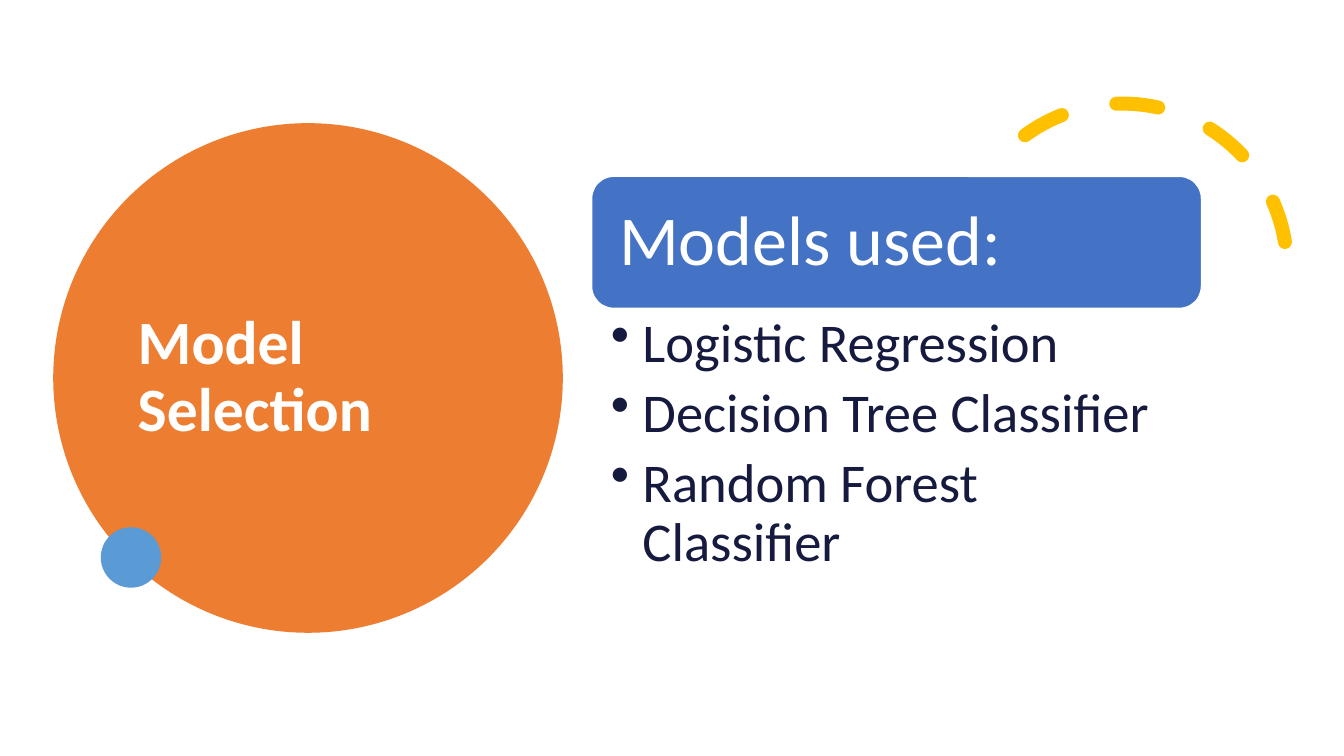
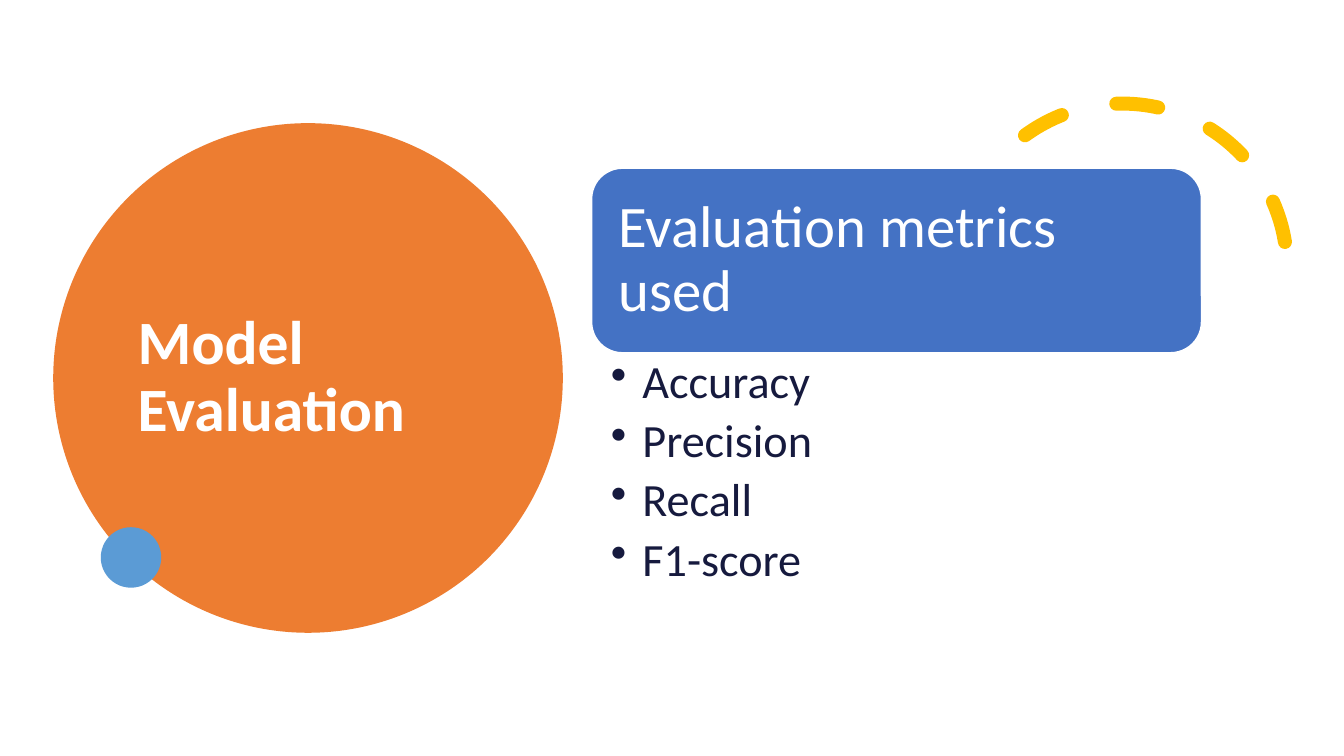
from pptx import Presentation
from pptx.dml.color import RGBColor
from pptx.enum.dml import MSO_LINE
from pptx.enum.shapes import MSO_SHAPE as Shape
from pptx.enum.text import MSO_ANCHOR as Anchor, PP_ALIGN as Align
from pptx.oxml import parse_xml
from pptx.oxml.ns import nsdecls
from pptx.util import Pt

WHITE = RGBColor(0xFF, 0xFF, 0xFF)
ORANGE = RGBColor(0xED, 0x7D, 0x31)
YELLOW = RGBColor(0xFF, 0xC0, 0x00)
SKY = RGBColor(0x5B, 0x9B, 0xD5)
BLUE = RGBColor(0x44, 0x72, 0xC4)
NAVY = RGBColor(0x16, 0x1A, 0x3E)

PANEL_LEFT, PANEL_WIDTH, PANEL_MIDDLE = 422.6, 435.6, 275
BULLET_INDENT = 22.5

TOPICS = [
    {"title": "Model Selection",
     "heading": "Models used:", "heading_size": 50, "heading_height": 94.3,
     "items": ["Logistic Regression", "Decision Tree Classifier",
               "Random Forest Classifier"],
     "item_size": 39, "list_height": 203.8},
    {"title": "Model Evaluation",
     "heading": "Evaluation metrics used", "heading_size": 42, "heading_height": 131.8,
     "items": ["Accuracy", "Precision", "Recall", "F1-score"],
     "item_size": 33, "list_height": 177.8},
]


class Deck:
    FONT = "Calibri"

    def __init__(self):
        self.presentation = Presentation()
        self.presentation.slide_width = Pt(960)
        self.presentation.slide_height = Pt(540)
        self.slide = None

    def add_slide(self):
        self.slide = self.presentation.slides.add_slide(self.presentation.slide_layouts[6])

    def shape(self, kind, left, top, width, height, fill=None):
        shape = self.slide.shapes.add_shape(kind, Pt(left), Pt(top), Pt(width), Pt(height))
        shape.shadow.inherit = False
        shape.line.fill.background()
        if fill is None:
            shape.fill.background()
        else:
            shape.fill.solid()
            shape.fill.fore_color.rgb = fill
        return shape

    def text(self, shape, lines, size, color, insets, anchor=Anchor.MIDDLE,
             bold=False, gap=0.0):
        """Fill a shape with paragraphs; gap is the space after, relative to size."""
        frame = shape.text_frame
        frame.word_wrap = True
        frame.vertical_anchor = anchor
        (frame.margin_left, frame.margin_top,
         frame.margin_right, frame.margin_bottom) = (Pt(inset) for inset in insets)
        frame.text = "\n".join(lines)
        for paragraph in frame.paragraphs:
            paragraph.alignment = Align.LEFT
            paragraph.line_spacing = 0.9
            paragraph.space_after = Pt(gap * size)
            for run in paragraph.runs:
                run.font.name = self.FONT
                run.font.size = Pt(size)
                run.font.bold = bold
                run.font.color.rgb = color
        return frame

    def title_circle(self, title):
        circle = self.shape(Shape.OVAL, 38, 88, 364, 364, ORANGE)
        self.text(circle, [title], 44, WHITE, (7.2, 3.6, 7.2, 3.6), bold=True)

    def dashed_arc(self):
        arc = self.shape(Shape.ARC, 684, 74, 235.4, 235.4)
        arc.adjustments[0], arc.adjustments[1] = 158.17, 17.81
        arc.rotation = 330.2
        arc.line.color.rgb = YELLOW
        arc.line.width = Pt(10)
        arc.line.dash_style = MSO_LINE.DASH
        arc.line._get_or_add_ln().set("cap", "rnd")

    def dot(self):
        self.shape(Shape.OVAL, 72, 376.6, 43.2, 43.2, SKY)

    def heading_card(self, heading, top, height, size):
        card = self.shape(Shape.ROUNDED_RECTANGLE, PANEL_LEFT, top, PANEL_WIDTH, height, BLUE)
        card.line.color.rgb = WHITE
        card.line.width = Pt(1)
        self.text(card, [heading], size, WHITE, (0.3 * size,) * 4, gap=0.35)

    def bullet_list(self, items, top, height, size):
        box = self.slide.shapes.add_textbox(Pt(PANEL_LEFT), Pt(top), Pt(PANEL_WIDTH), Pt(height))
        insets = (13.8, 0.13 * size, 0.72 * size, 0.13 * size)
        frame = self.text(box, items, size, NAVY, insets, Anchor.TOP, gap=0.2)
        for paragraph in frame.paragraphs:
            properties = paragraph._p.get_or_add_pPr()
            properties.set("marL", str(Pt(BULLET_INDENT)))
            properties.set("indent", str(-Pt(BULLET_INDENT)))
            properties.append(parse_xml(f'<a:buChar {nsdecls("a")} char="•"/>'))

    def topic_slide(self, topic):
        self.add_slide()
        self.title_circle(topic["title"])
        self.dashed_arc()
        self.dot()
        card_height, list_height = topic["heading_height"], topic["list_height"]
        top = PANEL_MIDDLE - (card_height + list_height) / 2
        self.heading_card(topic["heading"], top, card_height, topic["heading_size"])
        self.bullet_list(topic["items"], top + card_height, list_height, topic["item_size"])


def main():
    deck = Deck()
    for topic in TOPICS:
        deck.topic_slide(topic)
    deck.presentation.save("out.pptx")


if __name__ == "__main__":
    main()
